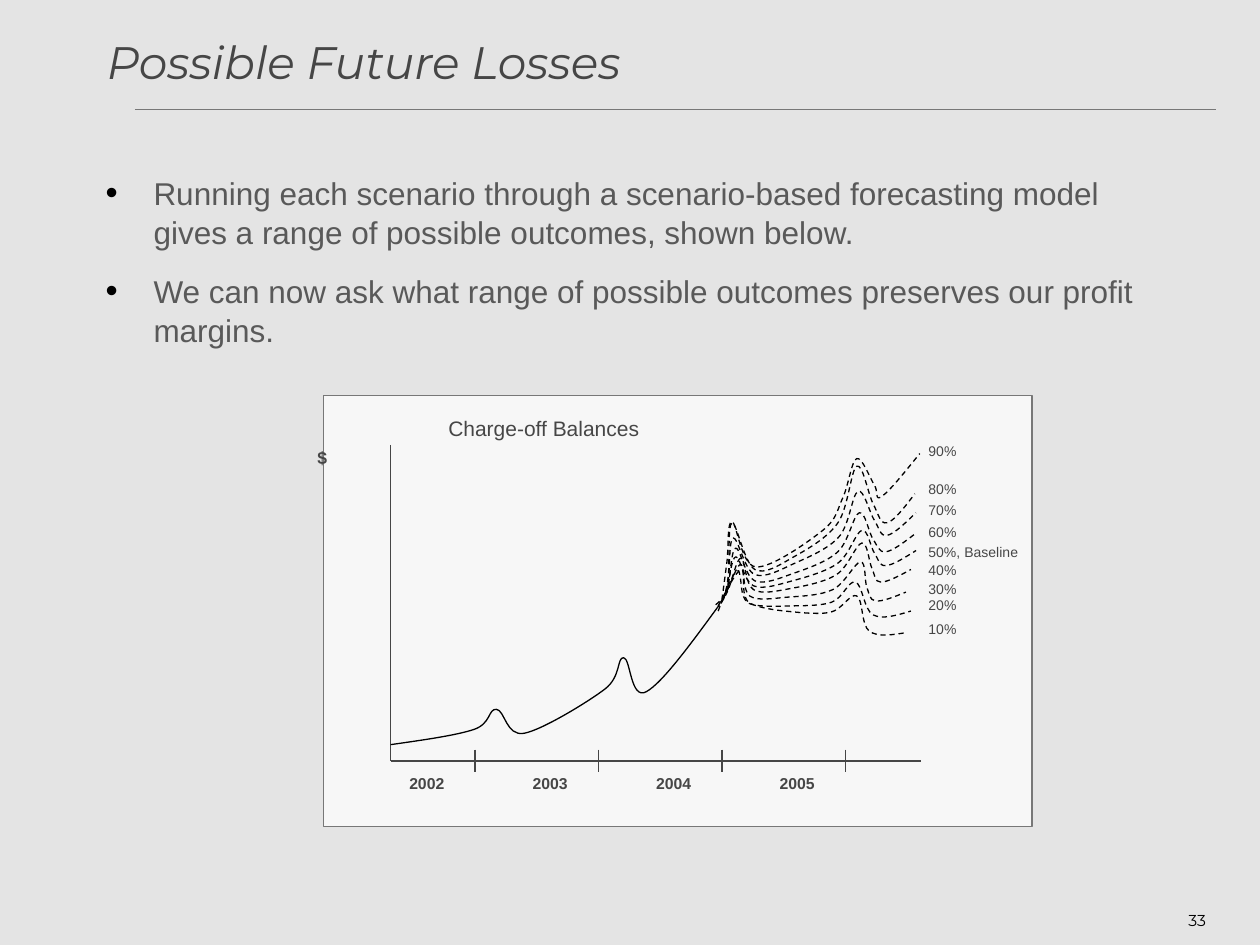
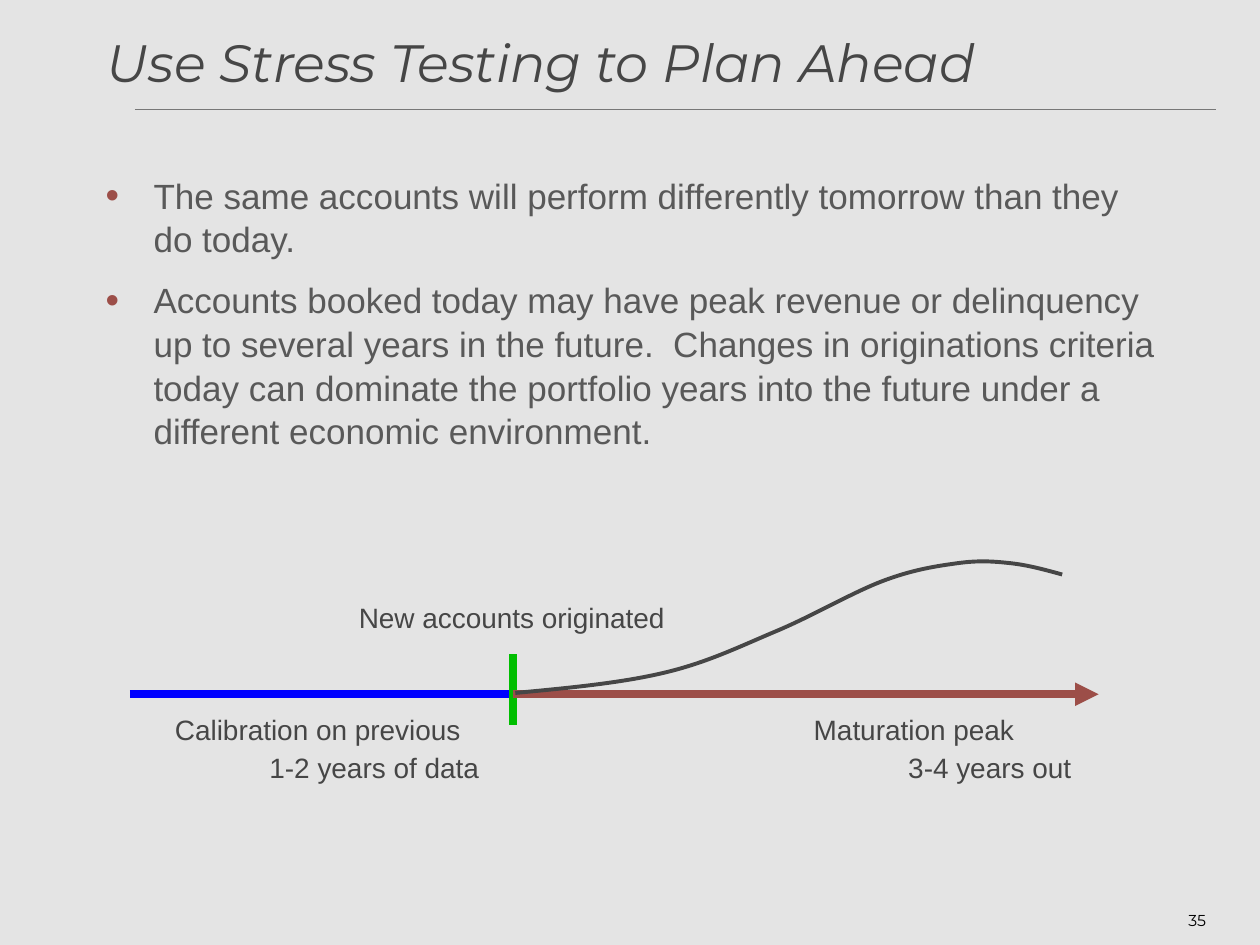
from dataclasses import dataclass

from lxml import etree
from pptx import Presentation
from pptx.dml.color import RGBColor
from pptx.enum.dml import MSO_LINE
from pptx.enum.shapes import MSO_CONNECTOR, MSO_SHAPE
from pptx.enum.text import MSO_ANCHOR, PP_ALIGN
from pptx.oxml.ns import qn
from pptx.util import Inches, Pt

LEFT, CENTER, RIGHT = PP_ALIGN.LEFT, PP_ALIGN.CENTER, PP_ALIGN.RIGHT
TOP, MIDDLE = MSO_ANCHOR.TOP, MSO_ANCHOR.MIDDLE
STRAIGHT, RECTANGLE, DASH = MSO_CONNECTOR.STRAIGHT, MSO_SHAPE.RECTANGLE, MSO_LINE.DASH


@dataclass(frozen=True)
class Theme:
    # Colours
    background: str = "E4E4E4"
    panel: str = "F7F7F7"
    rule: str = "777777"
    ink: str = "464646"
    body: str = "595959"
    black: str = "000000"
    past: str = "0000FF"
    now: str = "00BE00"
    future: str = "9C4E48"
    # Fonts
    display: str = "Montserrat"
    text: str = "Arial"
    # Type sizes
    label_size: float = 16
    chart_title_size: float = 12
    unit_size: float = 10
    small_size: float = 9
    percent_size: float = 8


THEME = Theme()


@dataclass(frozen=True)
class Box:
    left: float
    top: float
    width: float = 0
    height: float = 0

    def inner(self, left, top, width=0, height=0):
        return Box(self.left + left, self.top + top, width, height)

    def point(self, x, y):
        return Inches(self.left + x), Inches(self.top + y)

    def frame(self):
        return (*self.point(0, 0), Inches(self.width), Inches(self.height))


TITLE_BOX = Box(0.75, 0.25, 8.6, 0.47)
NUMBER_BOX = Box(7.59, 7.1, 2.08, 0.4)
BODY_BOX = Box(0.74, 1.32, 8.61, 2.46)

# Knots of the curves, in inches from the corner of the plot
HISTORY = [(0.1, 2.91), (0.76, 2.79), (0.94, 2.63), (1.16, 2.82), (1.8, 2.47),
           (1.95, 2.22), (2.13, 2.49), (2.71, 1.8)]

# Outcome label, label top, knots of its curve
OUTCOMES = [
    ("50%, Baseline", 1.28,
     [(2.72, 1.78), (2.77, 1.67), (2.84, 1.42), (2.98, 1.65), (3.29, 1.61),
      (3.65, 1.47), (3.84, 1.21), (3.94, 1.39), (4.03, 1.49), (4.27, 1.37)]),
    ("60%", 1.12,
     [(2.73, 1.77), (2.78, 1.64), (2.84, 1.35), (2.99, 1.61), (3.3, 1.55),
      (3.65, 1.38), (3.82, 1.07), (3.93, 1.28), (4.03, 1.38), (4.26, 1.24)]),
    ("70%", 0.95,
     [(2.74, 1.76), (2.78, 1.61), (2.82, 1.27), (2.99, 1.56), (3.31, 1.47),
      (3.66, 1.26), (3.81, 0.9), (3.94, 1.13), (4.04, 1.25), (4.27, 1.07)]),
    ("80%", 0.78,
     [(2.74, 1.76), (2.78, 1.57), (2.81, 1.15), (2.99, 1.52), (3.3, 1.42),
      (3.65, 1.15), (3.8, 0.7), (3.93, 1), (4.04, 1.15), (4.26, 0.92)]),
    ("90%", 0.48,
     [(2.73, 1.76), (2.77, 1.46), (2.81, 1.14), (3, 1.5), (3.53, 1.21),
      (3.69, 0.95), (3.8, 0.64), (3.94, 0.85), (4, 0.94), (4.3, 0.6)]),
    ("40%", 1.42,
     [(2.72, 1.79), (2.78, 1.68), (2.88, 1.43), (2.98, 1.68), (3.28, 1.67),
      (3.64, 1.56), (3.84, 1.31), (3.92, 1.51), (3.99, 1.62), (4.23, 1.52)]),
    ("30%", 1.57,
     [(2.68, 1.8), (2.76, 1.71), (2.88, 1.48), (2.95, 1.73), (3.25, 1.74),
      (3.61, 1.68), (3.83, 1.46), (3.88, 1.66), (3.95, 1.77), (4.19, 1.7)]),
    ("20%", 1.7,
     [(2.7, 1.85), (2.85, 1.53), (2.9, 1.73), (2.98, 1.8), (3.24, 1.81),
      (3.6, 1.78), (3.79, 1.62), (3.93, 1.88), (4.23, 1.85)]),
    ("10%", 1.89,
     [(2.7, 1.81), (2.88, 1.52), (2.91, 1.72), (2.98, 1.8), (3.23, 1.85),
      (3.59, 1.86), (3.8, 1.73), (3.9, 2.01), (4.2, 2.02)]),
]

# Knots from the origination mark
MATURATION = [(0.02, -0.01), (1.2, -0.17), (2.09, -0.5), (2.94, -0.9),
              (3.53, -1.04), (3.95, -1.04), (4.36, -0.95)]


def color(value):
    return RGBColor.from_string(value)


def add_bullet(para, bullet_color):
    """Give the paragraph a hanging bullet."""
    props = para._p.get_or_add_pPr()
    props.set("marL", str(Inches(0.38)))
    props.set("indent", str(-Inches(0.38)))
    shade = etree.SubElement(props, qn("a:buClr"))
    etree.SubElement(shade, qn("a:srgbClr"), val=bullet_color)
    etree.SubElement(props, qn("a:buSzPct"), val="110000")
    etree.SubElement(props, qn("a:buFont"), typeface=THEME.text)
    etree.SubElement(props, qn("a:buChar"), char="•")


def add_tab_stop(para, position):
    tabs = etree.SubElement(para._p.get_or_add_pPr(), qn("a:tabLst"))
    etree.SubElement(tabs, qn("a:tab"), pos=str(Inches(position)), algn="l")


def add_text(page, box, text, size, font=THEME.text, shade=THEME.ink, bold=False,
             italic=False, align=LEFT, anchor=TOP, spacing=None, before=0,
             wrap=True, bullet=None, tab=None):
    """Add a text box with one paragraph for each line of the text."""
    frame = page.shapes.add_textbox(*box.frame()).text_frame
    frame.word_wrap = wrap
    frame.vertical_anchor = anchor
    for index, line in enumerate(text.split("\n")):
        para = frame.paragraphs[0] if index == 0 else frame.add_paragraph()
        para.alignment = align
        para.space_before = Pt(before)
        if spacing:
            para.line_spacing = spacing
        if bullet:
            add_bullet(para, bullet)
        if tab:
            add_tab_stop(para, tab)
        span = para.add_run()
        span.text = line
        span.font.name, span.font.size = font, Pt(size)
        span.font.bold, span.font.italic = bold, italic
        span.font.color.rgb = color(shade)


def add_label(page, box, text, size, **format):
    """Add a tight label, with space before in step with its size."""
    add_text(page, box, text, size, spacing=0.9, before=size / 4, **format)


def add_line(page, box, start, end, shade, width, arrow=False):
    line = page.shapes.add_connector(STRAIGHT, *box.point(*start), *box.point(*end))
    line.line.color.rgb = color(shade)
    line.line.width = Pt(width)
    if arrow:
        etree.SubElement(line.line._get_or_add_ln(), qn("a:tailEnd"), type="triangle")
    etree.SubElement(line._element.spPr, qn("a:effectLst"))


def smooth_segments(knots):
    """Give the two handles and the end of each segment of a smooth curve."""
    def handle(index, side):
        (x0, y0), (x1, y1) = knots[index - 1], knots[index + 1]
        x, y = knots[index]
        return x + side * (x1 - x0) / 6, y + side * (y1 - y0) / 6

    def middle(first, second):
        return tuple((a + b) / 2 for a, b in zip(first, second))

    last = len(knots) - 2
    for index in range(last + 1):
        start, end = knots[index], knots[index + 1]
        leave = handle(index, 1) if index > 0 else None
        arrive = handle(index + 1, -1) if index < last else middle(leave, end)
        yield leave or middle(start, arrive), arrive, end


def add_curve(page, box, knots, shade, width, dash=None):
    """Add a freeform through the knots and bend its segments."""
    points = [box.point(*knot) for knot in knots]
    builder = page.shapes.build_freeform(*points[0])
    builder.add_line_segments(points[1:], close=False)
    curve = builder.convert_to_shape()
    straights = list(curve._element.iter(qn("a:lnTo")))
    for straight, segment in zip(straights, smooth_segments(knots)):
        bend = etree.Element(qn("a:cubicBezTo"))
        for x, y in (box.point(*spot) for spot in segment):
            etree.SubElement(bend, qn("a:pt"), x=str(x - curve.left), y=str(y - curve.top))
        straight.getparent().replace(straight, bend)
    curve.shadow.inherit = False
    curve.fill.background()
    curve.line.color.rgb = color(shade)
    curve.line.width = Pt(width)
    if dash:
        curve.line.dash_style = dash


def add_page(deck, title, title_size, number):
    """Add a page with background, rule, number and title."""
    page = deck.slides.add_slide(deck.slide_layouts[6])
    page.background.fill.solid()
    page.background.fill.fore_color.rgb = color(THEME.background)
    add_line(page, Box(1.07, 0.87), (0, 0), (8.58, 0), THEME.rule, 0.75)
    add_text(page, NUMBER_BOX, number, THEME.small_size, font=THEME.display,
             shade=THEME.black, align=RIGHT, anchor=MIDDLE)
    add_text(page, TITLE_BOX, title, title_size, font=THEME.display, italic=True,
             anchor=MIDDLE)
    return page


def add_bullets(page, text, size, before, bullet):
    add_text(page, BODY_BOX, text, size, shade=THEME.body, spacing=1.04,
             before=before, bullet=bullet)


def draw_balance_chart(page, box):
    """Draw the history and the fan of outcomes on a panel."""
    panel = page.shapes.add_shape(RECTANGLE, *box.frame())
    panel.shadow.inherit = False
    panel.fill.solid()
    panel.fill.fore_color.rgb = color(THEME.panel)
    panel.line.color.rgb = color(THEME.rule)
    panel.line.width = Pt(0.75)

    # Axes, year ticks and year labels
    plot = box.inner(0.43, -0.14)
    add_line(page, plot, (0.1, 0.53), (0.1, 3.04), THEME.ink, 1)
    add_line(page, plot, (0.1, 3.04), (4.31, 3.04), THEME.ink, 1)
    for index, year in enumerate(("2002", "2003", "2004", "2005")):
        shift = 0.98 * index
        add_line(page, plot, (0.77 + shift, 2.95), (0.77 + shift, 3.13), THEME.ink, 0.75)
        add_label(page, plot.inner(0.15 + shift, 3.11, 1.23, 0.24), year,
                  THEME.small_size, bold=True)
    add_label(page, plot.inner(-0.58, 0.52, 1.03, 0.25), "$", THEME.unit_size, bold=True)
    add_label(page, plot.inner(0.46, 0.27, 2.47, 0.28), "Charge-off Balances",
              THEME.chart_title_size)

    # Curves and their labels
    add_curve(page, plot, HISTORY, THEME.black, 0.75)
    for name, top, knots in OUTCOMES:
        add_curve(page, plot, knots, THEME.black, 0.75, dash=DASH)
        width = 1.67 if "Baseline" in name else 1.18
        add_label(page, plot.inner(3.89, top, width, 0.22), name,
                  THEME.percent_size, align=CENTER)


def draw_timeline(page, mark):
    """Draw past, origination and maturation around the mark."""
    size = THEME.label_size
    add_line(page, mark, (-3.04, 0), (-0.01, 0), THEME.past, 4.5)
    add_label(page, mark.inner(-2.78, 0.13, 2.62, 0.64),
              "Calibration on previous\n\t1-2 years of data", size, tab=0.75)
    add_line(page, mark, (0, 0.24), (0, -0.32), THEME.now, 4.5)
    add_label(page, mark.inner(-1.32, -0.76, 2.63, 0.34), "New accounts originated",
              size, wrap=False)
    add_line(page, mark, (0, 0), (4.65, 0), THEME.future, 4.5, arrow=True)
    add_label(page, mark.inner(2.29, 0.13, 2.25, 0.64),
              "Maturation peak\n\t3-4 years out", size, tab=0.75)
    add_curve(page, mark, MATURATION, THEME.ink, 2.25)


def main():
    deck = Presentation()
    deck.slide_width, deck.slide_height = Inches(10), Inches(7.5)

    page = add_page(deck, "Possible Future Losses", 26, "33")
    add_bullets(page, "Running each scenario through a scenario-based forecasting model "
                "gives a range of possible outcomes, shown below.\n"
                "We can now ask what range of possible outcomes preserves our profit "
                "margins.", 18, 11.2, THEME.black)
    draw_balance_chart(page, Box(2.57, 3.14, 5.62, 3.42))

    page = add_page(deck, "Use Stress Testing to Plan Ahead", 30, "35")
    add_bullets(page, "The same accounts will perform differently tomorrow than they "
                "do today.\n"
                "Accounts booked today may have peak revenue or delinquency up to "
                "several years in the future.  Changes in originations criteria today "
                "can dominate the portfolio years into the future under a different "
                "economic environment.", 20, 10, THEME.future)
    draw_timeline(page, Box(4.07, 5.51))

    deck.save("out.pptx")


if __name__ == "__main__":
    main()
